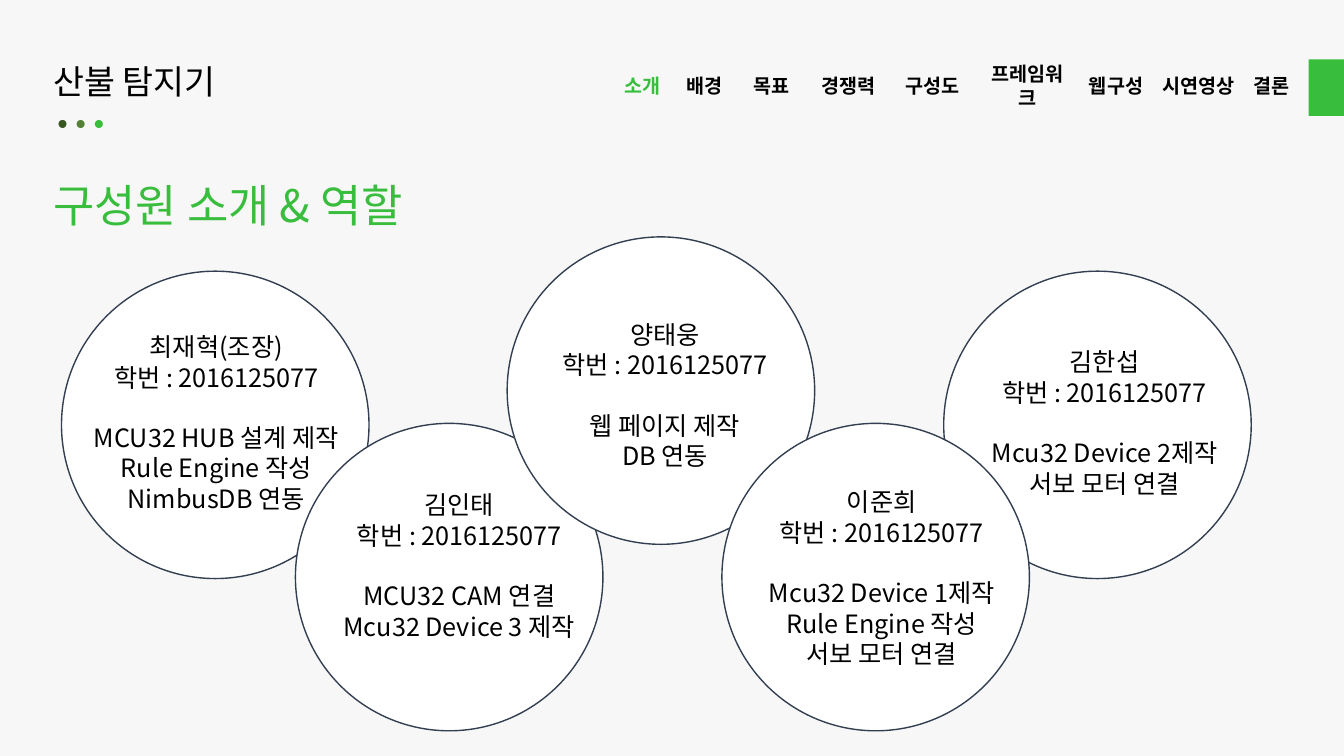
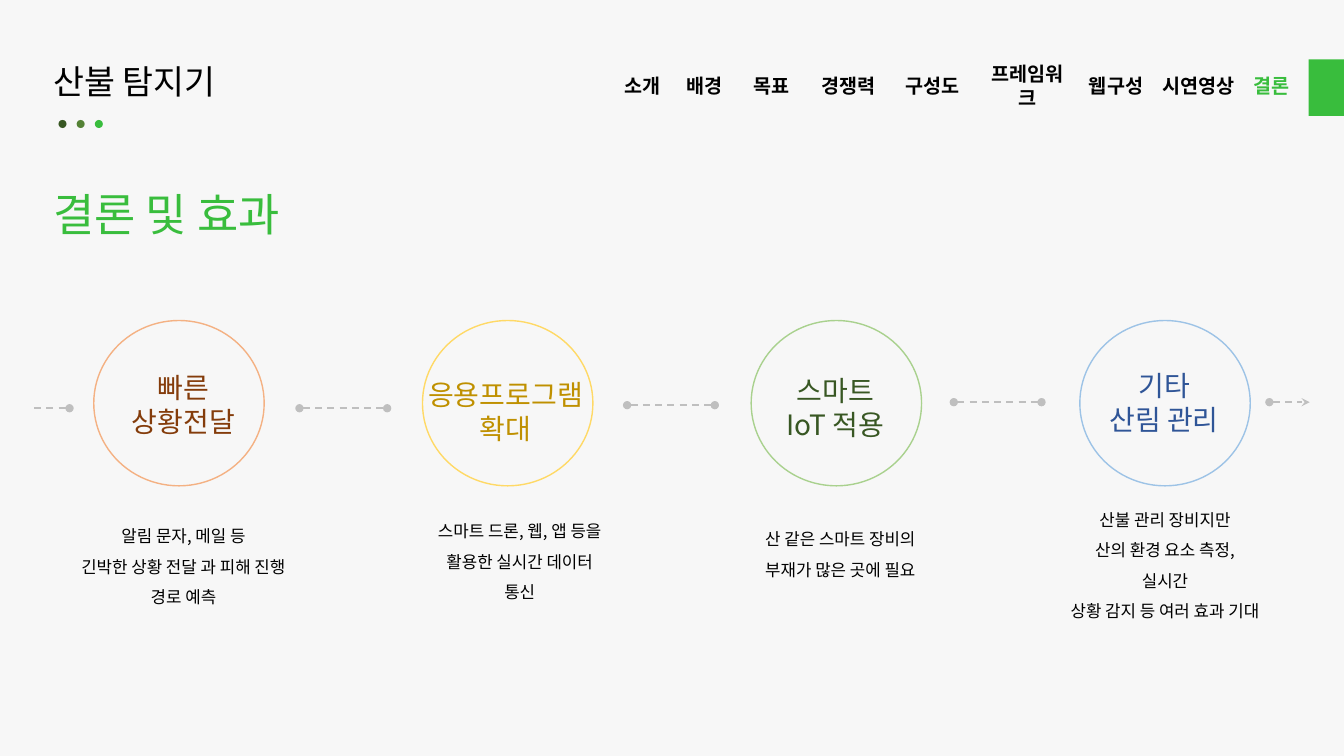
from lxml.etree import SubElement
from pptx import Presentation
from pptx.dml.color import RGBColor
from pptx.enum.dml import MSO_LINE
from pptx.enum.shapes import MSO_CONNECTOR, MSO_SHAPE
from pptx.enum.text import MSO_ANCHOR, PP_ALIGN
from pptx.oxml.ns import qn
from pptx.util import Inches, Pt

FONT = "Noto Sans CJK KR"
BLACK = RGBColor(0x00, 0x00, 0x00)
WHITE = RGBColor(0xFF, 0xFF, 0xFF)
PAPER = RGBColor(0xF7, 0xF7, 0xF7)
GREEN = RGBColor(0x39, 0xBD, 0x3D)
MID_GREEN = RGBColor(0x54, 0x82, 0x35)
DARK_GREEN = RGBColor(0x38, 0x57, 0x23)
NAVY = RGBColor(0x33, 0x3F, 0x50)
GRAY = RGBColor(0xBF, 0xBF, 0xBF)
ORANGE = RGBColor(0xF4, 0xB1, 0x83)
BROWN = RGBColor(0x84, 0x3C, 0x0B)
YELLOW = RGBColor(0xFF, 0xD9, 0x66)
GOLD = RGBColor(0xBF, 0x90, 0x00)
LIME = RGBColor(0xA9, 0xD1, 0x8E)
SKY = RGBColor(0x9D, 0xC3, 0xE6)
BLUE = RGBColor(0x2F, 0x55, 0x97)

NAV = [
    ("소개", 6.08, 0.58), ("배경", 6.7, 0.58), ("목표", 7.36, 0.58),
    ("경쟁력", 8.04, 0.76), ("구성도", 8.87, 0.76), ("프레임워크", 9.65, 1.09),
    ("웹구성", 10.69, 0.76), ("시연영상", 11.41, 0.95), ("결론", 12.32, 0.58),
]
STUDENT_ID = "학번 : 2016125077"
MEMBERS = [
    ((0.61, 2.69), (0.62, 3.24), "최재혁(조장)",
     ["MCU32 HUB 설계 제작 Rule Engine 작성 NimbusDB 연동"]),
    ((9.36, 2.69), (9.43, 3.39), "김한섭", ["Mcu32 Device 2제작", "서보 모터 연결"]),
    ((2.93, 4.2), (3.03, 4.81), "김인태", ["MCU32 CAM 연결", "Mcu32 Device 3 제작"]),
    ((5.03, 2.35), (5.07, 3.12), "양태웅", ["웹 페이지 제작", "DB 연동"]),
    ((7.16, 4.2), (7.22, 4.78), "이준희",
     ["Mcu32 Device 1제작", "Rule Engine 작성", "서보 모터 연결"]),
]
EFFECTS = [
    (ORANGE, BROWN, (0.86, 3.63, 1.92), ["빠른", "상황전달"],
     (0.47, 5.07, 2.7), ["알림 문자, 메일 등", "긴박한 상황 전달 과 피해 진행", "경로 예측"]),
    (YELLOW, GOLD, (3.76, 3.7, 2.51), ["응용프로그램", "확대"],
     (3.67, 5.02, 2.97), ["스마트 드론, 웹, 앱 등을", "활용한 실시간 데이터", "통신"]),
    (LIME, DARK_GREEN, (7.38, 3.66, 1.81), ["스마트", "IoT 적용"],
     (7.24, 5.1, 2.19), ["산 같은 스마트 장비의", "부재가 많은 곳에 필요"]),
    (SKY, BLUE, (10.29, 3.61, 2.51), ["기타", "산림 관리"],
     (10.52, 4.91, 2.07),
     ["산불 관리 장비지만", "산의 환경 요소 측정, 실시간", "상황 감지 등 여러 효과 기대"]),
]
LINKS = [
    (0.34, 0.69, 4.05, None, "oval"), (2.97, 3.84, 4.05, "oval", "oval"),
    (6.22, 7.09, 4.02, "oval", "oval"), (9.46, 10.33, 3.99, "oval", "oval"),
    (12.59, 12.99, 3.99, "oval", "stealth"),
]


class Deck:
    """Holds the shared style and the slide being built."""

    def __init__(self):
        self.prs = Presentation()
        self.prs.slide_width = Inches(13.33)
        self.prs.slide_height = Inches(7.5)
        self.s = None

    def slide(self, title, top, active):
        self.s = self.prs.slides.add_slide(self.prs.slide_layouts[6])
        fill = self.s.background.fill
        fill.solid()
        fill.fore_color.rgb = PAPER
        for i, color in enumerate((DARK_GREEN, MID_GREEN, GREEN)):
            self.shape(0.58 + 0.18 * i, 1.19, 0.08, 0.08, fill=color)
        self.text(0.43, 0.56, 2.88, 0.5, ["산불 탐지기"], 24, align=PP_ALIGN.LEFT)
        self.shape(12.98, 0.59, 0.35, 0.56, MSO_SHAPE.RECTANGLE, GREEN)
        for label, left, width in NAV:
            color = GREEN if label == active else BLACK
            tf = self.text(left, 0.68, width, 0.34, [label], 14, color, bold=True)
            tf.vertical_anchor = MSO_ANCHOR.MIDDLE
        self.text(0.43, top, 4.52, 0.64, [title], 32, GREEN, PP_ALIGN.LEFT)

    def shape(self, x, y, w, h, kind=MSO_SHAPE.OVAL, fill=None, line=None):
        sp = self.s.shapes.add_shape(kind, Inches(x), Inches(y), Inches(w), Inches(h))
        sp.shadow.inherit = False
        if fill is None:
            sp.fill.background()
        else:
            sp.fill.solid()
            sp.fill.fore_color.rgb = fill
        if line is None:
            sp.line.fill.background()
        else:
            sp.line.color.rgb = line
            sp.line.width = Pt(1)

    def text(self, x, y, w, h, lines, size, color=BLACK, align=PP_ALIGN.CENTER,
             bold=False, spacing=None):
        sp = self.s.shapes.add_textbox(Inches(x), Inches(y), Inches(w), Inches(h))
        tf = sp.text_frame
        tf.word_wrap = True
        tf.text = "\n".join(lines)
        for p in tf.paragraphs:
            p.alignment = align
            p.line_spacing = spacing
            for r in p.runs:
                r.font.size = Pt(size)
                r.font.bold = bold
                r.font.color.rgb = color
                r.font.name = FONT
                SubElement(r.font._element, qn("a:ea"), typeface=FONT)
        return tf

    def link(self, x1, x2, y, head, tail):
        cx = self.s.shapes.add_connector(
            MSO_CONNECTOR.STRAIGHT, Inches(x1), Inches(y), Inches(x2), Inches(y))
        cx.line.color.rgb = GRAY
        cx.line.width = Pt(1.25)
        cx.line.dash_style = MSO_LINE.DASH
        ln = cx.line._get_or_add_ln()
        for tag, end in (("a:headEnd", head), ("a:tailEnd", tail)):
            if end:
                SubElement(ln, qn(tag), type=end)
        SubElement(cx._element.spPr, qn("a:effectLst"))


def members_slide(deck):
    deck.slide("구성원 소개 & 역할", 1.71, "소개")
    for (x, y), *_ in MEMBERS:
        deck.shape(x, y, 3.05, 3.05, fill=WHITE, line=NAVY)
    for _, (x, y), name, roles in MEMBERS:
        lines = [name, STUDENT_ID, *roles]
        tf = deck.text(x, y, 3.05, 1.62, lines, 18)
        tf.paragraphs[2].space_before = Pt(21.7)


def effects_slide(deck):
    deck.slide("결론 및 효과", 1.8, "결론")
    for i, (ring, color, head_at, head, body_at, body) in enumerate(EFFECTS):
        deck.text(*head_at, 0.77, head, 20, color)
        deck.text(*body_at, 1.01, body, 12, spacing=1.5)
        deck.shape(0.93 + 3.26 * i, 3.18, 1.69, 1.64, line=ring)
    for link in LINKS:
        deck.link(*link)


def main():
    deck = Deck()
    members_slide(deck)
    effects_slide(deck)
    deck.prs.save("out.pptx")


if __name__ == "__main__":
    main()
